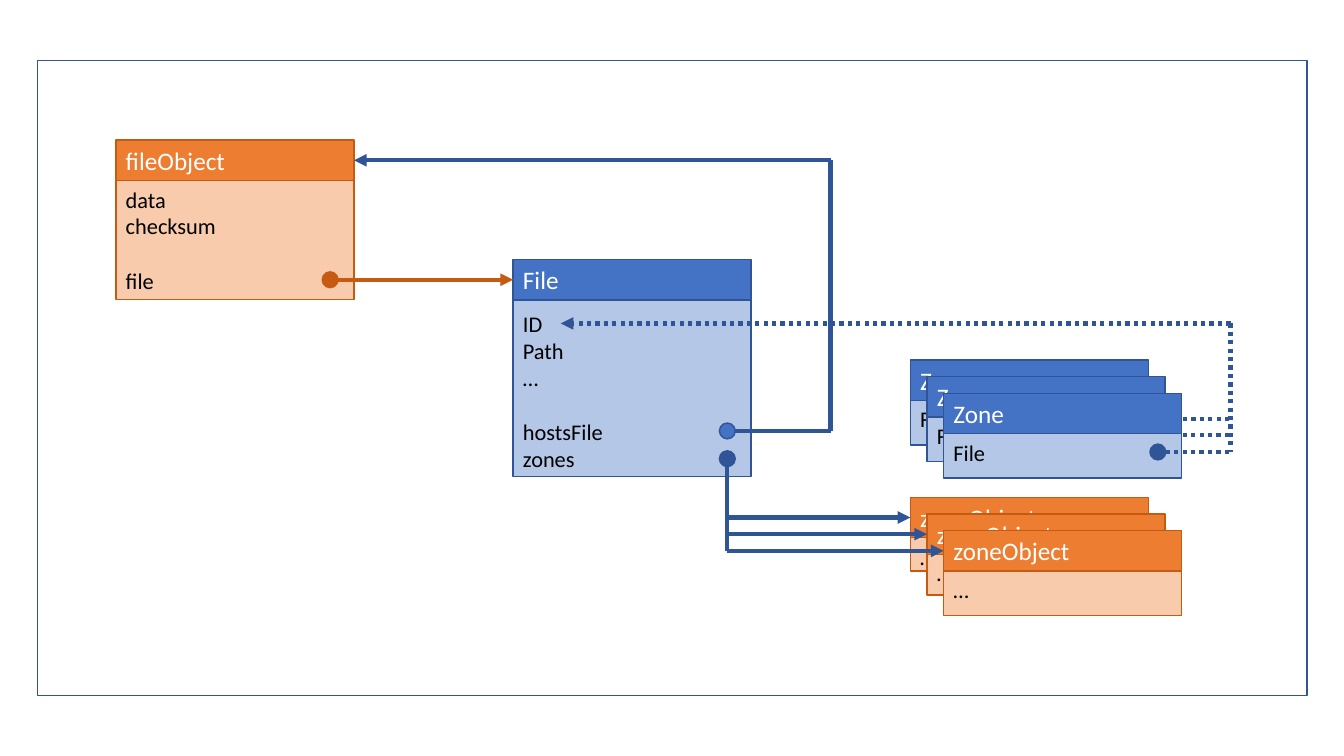
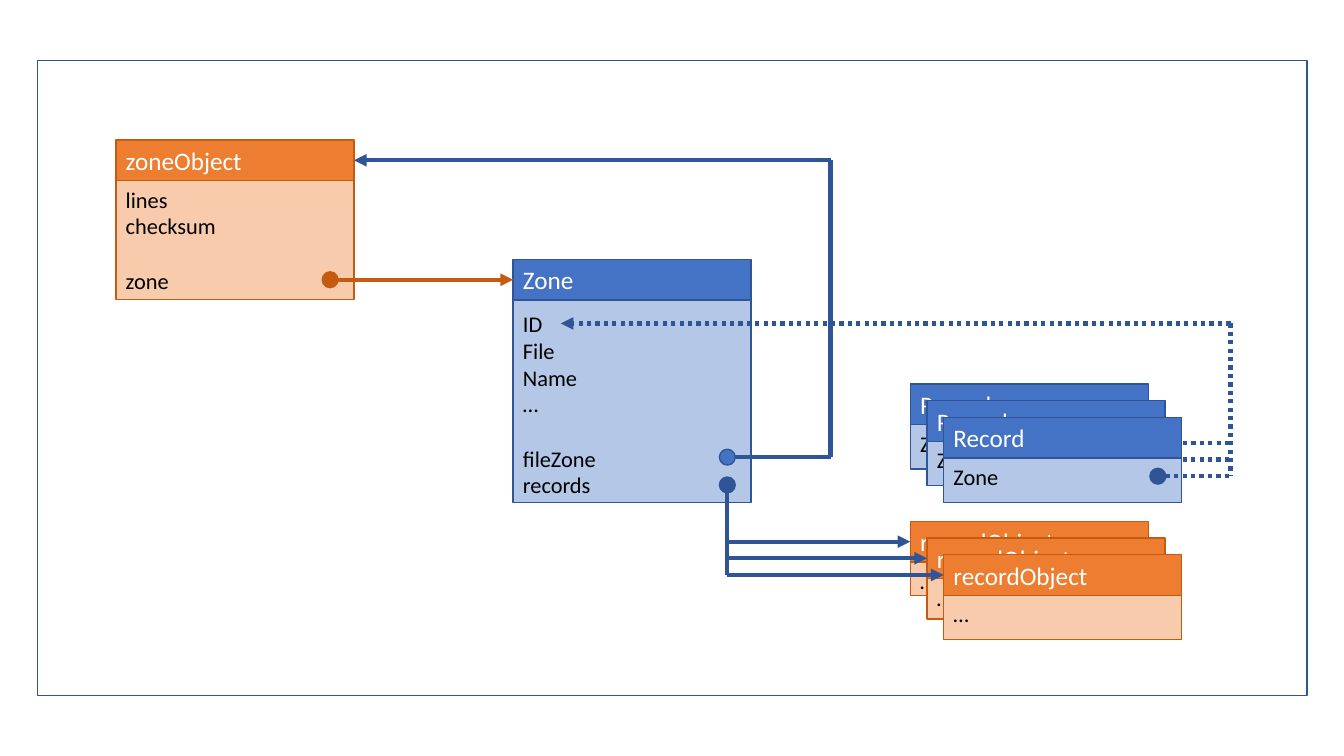
from pptx import Presentation
from pptx.dml.color import RGBColor
from pptx.enum.dml import MSO_LINE
from pptx.enum.shapes import MSO_CONNECTOR, MSO_SHAPE
from pptx.enum.text import MSO_ANCHOR, PP_ALIGN
from pptx.oxml.ns import qn
from pptx.util import Cm, Pt
from lxml.etree import SubElement

HUES = {
    "black": "000000", "white": "FFFFFF", "frame": "325491",
    "blue": "4472C4", "navy": "2F5597", "sky": "B4C7E7",
    "orange": "ED7D31", "rust": "C55A11", "peach": "F8CBAD",
}
THEMES = {
    "blue": {"head": "blue", "body": "sky", "edge": "navy"},
    "orange": {"head": "orange", "body": "peach", "edge": "rust"},
}
FONTS = {
    "head": {"name": "Calibri", "size": Pt(18)},
    "body": {"name": "Calibri", "size": Pt(16)},
}
GAP = Pt(19.5)            # height of one body line
WIDE, HEAD, DOT = 6, 1.02, 0.4
PORT = 5.4                # dot centre, from the left of a card
STEP = 0.42               # offset between stacked cards
ROW = 1.48                # first body row, from the top of a card
MID = HEAD / 2


def hue(name):
    """Return the named colour."""
    return RGBColor.from_string(HUES[name])


def block(slide, kind, box, fill, edge):
    """Draw a flat outlined shape in box (left, top, width, height)."""
    shape = slide.shapes.add_shape(kind, *map(Cm, box))
    shape.shadow.inherit = False
    if fill:
        shape.fill.solid()
        shape.fill.fore_color.rgb = hue(fill)
    else:
        shape.fill.background()
    shape.line.color.rgb = hue(edge)
    shape.line.width = Pt(1)
    return shape


def write(shape, groups, style, ink, form):
    """Write groups of lines, with one free line between groups."""
    frame = shape.text_frame
    for key, val in form.items():
        setattr(frame, key, val)
    first = True
    for num, group in enumerate(groups):
        for pos, text in enumerate(group):
            para = frame.paragraphs[0] if first else frame.add_paragraph()
            first = False
            para.alignment = PP_ALIGN.LEFT
            if num and not pos:
                para.space_before = GAP
            run = para.add_run()
            run.text = text
            for key, val in FONTS[style].items():
                setattr(run.font, key, val)
            run.font.color.rgb = hue(ink)


def card(slide, box, title, groups, theme, pad=0.13):
    """Draw a class card: body rows below a coloured head."""
    left, top, wide, high = box
    look = THEMES[theme]
    kind = MSO_SHAPE.FLOWCHART_PROCESS
    body = block(slide, kind, (left, top + HEAD, wide, high - HEAD),
                 look["body"], look["edge"])
    write(body, groups, "body", "black",
          {"vertical_anchor": MSO_ANCHOR.TOP, "margin_top": Cm(pad)})
    head = block(slide, kind, (left, top, wide, HEAD),
                 look["head"], look["edge"])
    write(head, [[title]], "head", "white",
          {"vertical_anchor": MSO_ANCHOR.MIDDLE})


def dot(slide, x, y, fill, edge):
    """Draw a port centred on a point."""
    block(slide, MSO_SHAPE.OVAL, (x - DOT / 2, y - DOT / 2, DOT, DOT),
          fill, edge)


def wire(slide, start, end, ink="navy", tip=False, dash=False):
    """Draw a straight line, dotted or with an arrowhead if asked."""
    link = slide.shapes.add_connector(
        MSO_CONNECTOR.STRAIGHT, *map(Cm, (*start, *end)))
    link.line.color.rgb = hue(ink)
    link.line.width = Pt(3)
    if dash:
        link.line.dash_style = MSO_LINE.ROUND_DOT
    props = link.element.spPr
    if tip:
        SubElement(props.find(qn("a:ln")), qn("a:tailEnd"), type="triangle")
    SubElement(props, qn("a:effectLst"))


def source(slide, box, title, groups, goal):
    """Draw the object card and its arrow to the goal point."""
    card(slide, box, title, groups, "orange")
    x, y = box[0] + PORT, goal[1]
    dot(slide, x, y, "rust", "rust")
    wire(slide, (x + DOT / 2, y), goal, "rust", tip=True)


def stack(slide, box, title, rows, theme, highs, bus=None):
    """Draw cards from back to front, each wired to bus if given."""
    left, top, wide, _ = box
    for num, (row, high) in enumerate(zip(rows, highs)):
        x, y = left + num * STEP, top + num * STEP
        card(slide, (x, y, wide, HEAD + high), title, [[row]], theme)
        if bus:
            wire(slide, (x + PORT + DOT / 2, y + ROW), (bus, y + ROW),
                 dash=True)
    if bus:
        dot(slide, x + PORT, y + ROW, "navy", "navy")


def back(slide, box, goal):
    """Lead the upper port of a card back to the goal point."""
    x, y = box[0] + PORT, box[1] + box[3] - 1.15
    turn = box[0] + 8
    dot(slide, x, y, "blue", "navy")
    wire(slide, (x + DOT / 2, y), (turn, y))
    wire(slide, (turn, y), (turn, goal[1]))
    wire(slide, (turn, goal[1]), goal, tip=True)


def fan(slide, box, goals):
    """Lead the lower port of a card to every goal point."""
    x, y = box[0] + PORT, box[1] + box[3] - 0.45
    dot(slide, x, y, "navy", "navy")
    wire(slide, (x, y + DOT / 2), (x, goals[-1][1]))
    for goal in goals:
        wire(slide, (x, goal[1]), goal, tip=True)


def model(deck, data):
    """Build one slide of an object model."""
    slide = deck.slides.add_slide(deck.slide_layouts[6])
    shift = data["shift"]
    obj = (2.92, 3.53, WIDE, 4.02)
    main = (12.93, 6.54, WIDE, data["high"])
    items = (22.94, 9.07 + shift, WIDE, HEAD)
    parts = (22.94, 12.53 + shift, WIDE, HEAD)
    bus = 31.01

    stack(slide, parts, data["part"], ["….", "…", "…"], "orange",
          [0.84, 1.02, 1.12])
    card(slide, main, data["main"], data["fields"], "blue", 0.25)
    source(slide, obj, data["obj"], data["facts"],
           (main[0], main[1] + MID))
    back(slide, main, (obj[0] + WIDE, obj[1] + MID))
    fan(slide, main, [(parts[0] + n * STEP, parts[1] + MID + n * STEP)
                      for n in range(3)])
    stack(slide, items, data["item"], [data["main"]] * 3, "blue",
          [1.12] * 3, bus)
    top = main[1] + 1.61
    wire(slide, (bus, top), (bus, items[1] + 2 * STEP + ROW), dash=True)
    wire(slide, (bus, top), (main[0] + 1.2, top), tip=True, dash=True)
    block(slide, MSO_SHAPE.RECTANGLE, (0.94, 1.52, 32, 16), None, "frame")


MODELS = [
    {"obj": "fileObject", "facts": [["data", "checksum"], ["file"]],
     "main": "File", "high": 5.47, "shift": 0,
     "fields": [["ID", "Path", "…"], ["hostsFile", "zones"]],
     "item": "Zone", "part": "zoneObject"},
    {"obj": "zoneObject", "facts": [["lines", "checksum"], ["zone"]],
     "main": "Zone", "high": 6.13, "shift": 0.61,
     "fields": [["ID", "File", "Name", "…"], ["fileZone", "records"]],
     "item": "Record", "part": "recordObject"},
]

deck = Presentation()
deck.slide_width, deck.slide_height = Cm(33.87), Cm(19.05)
for data in MODELS:
    model(deck, data)
deck.save("out.pptx")
